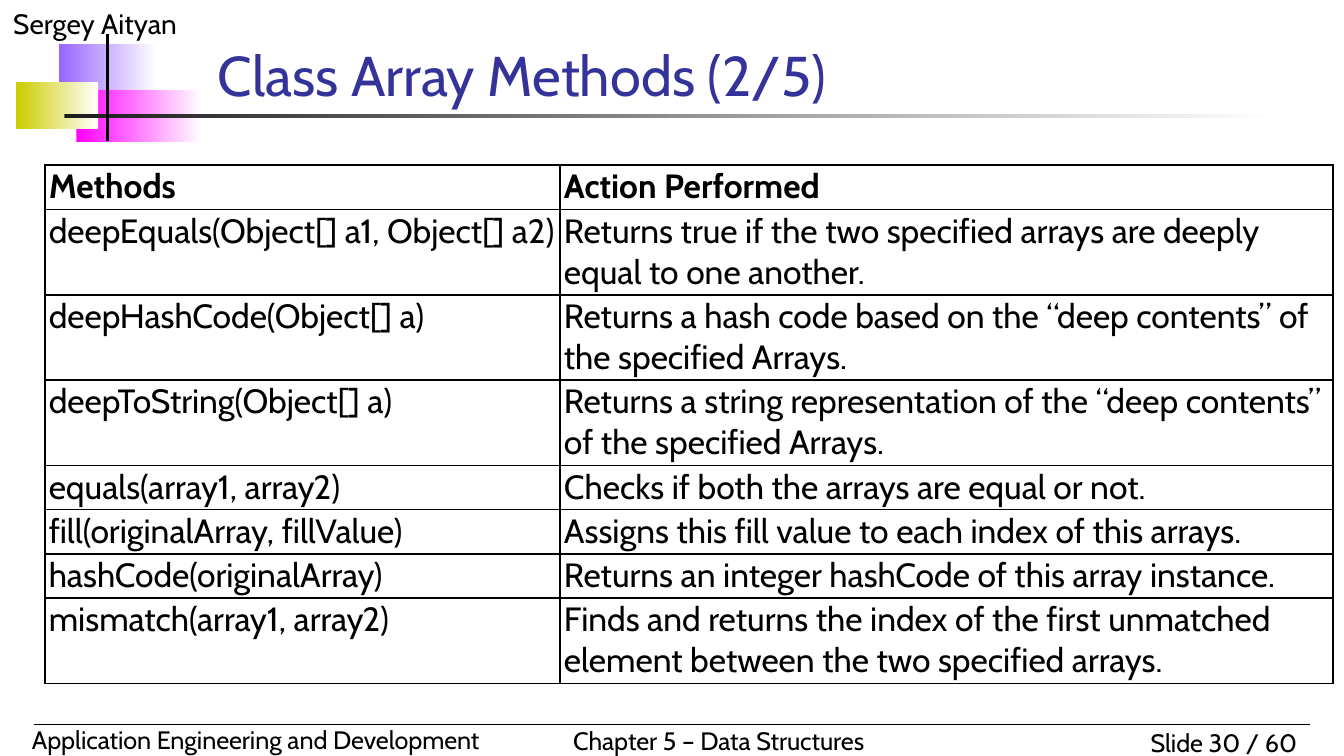
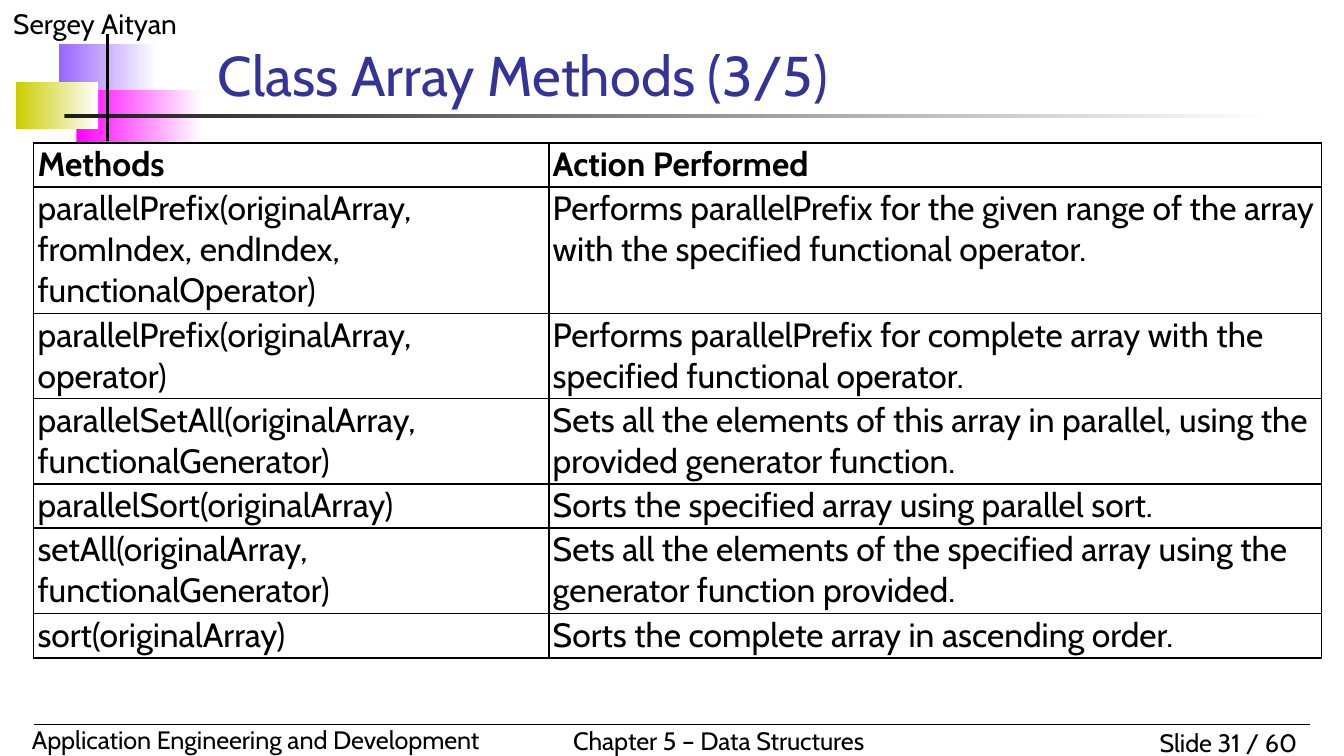
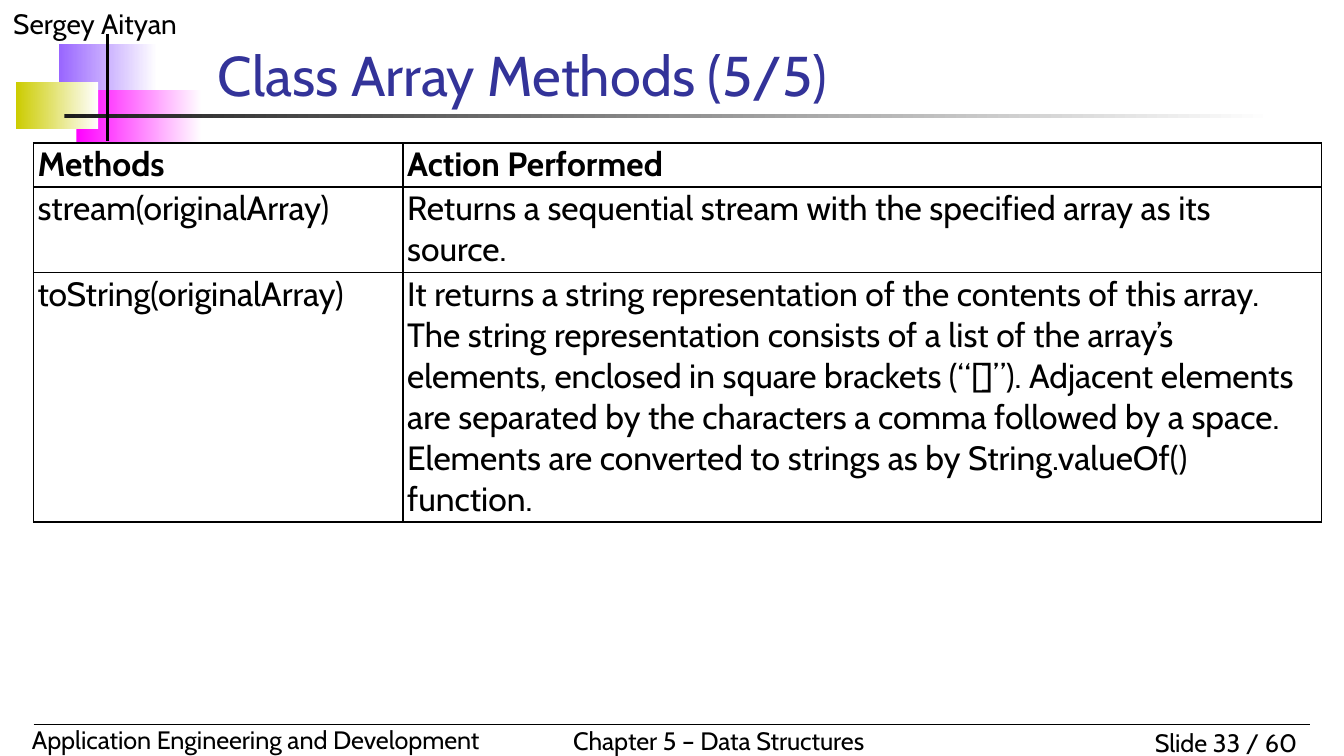
"""Build three slides on the methods of the Java Arrays class."""
from lxml import etree
from pptx import Presentation
from pptx.dml.color import RGBColor
from pptx.enum import shapes, text
from pptx.oxml.ns import qn
from pptx.util import Pt

FONT = "Cabin"
BLACK = RGBColor(0x00, 0x00, 0x00)
WHITE = RGBColor(0xFF, 0xFF, 0xFF)
INDIGO = RGBColor(0x33, 0x33, 0x99)
VIOLET = RGBColor(0x99, 0x66, 0xFF)
MAGENTA = RGBColor(0xFF, 0x00, 0xFF)
OLIVE = RGBColor(0xCC, 0xCC, 0x00)
CHARCOAL = RGBColor(0x1C, 0x1C, 0x1C)

LINE_HEIGHT, ROW_PADDING = 22, 1.7
SLIDE_COUNT = 60

FADES = [
    (VIOLET, 31.7, 23.75, 52.5, 28),
    (MAGENTA, 41, 48.25, 67, 28),
    (OLIVE, 8.65, 43.9, 44, 25.2),
    (CHARCOAL, 34.5, 61.2, 648, 2.15),
]
RULES = [(18, 388, 702, 388, 0.75), (57.6, 18, 57.6, 75.6, 2)]

TITLE = {"size": 30, "color": INDIGO}
AUTHOR = {"size": 15}
FOOTER = {"size": 13.5}
CELL = {"size": 18}

HEADER = (1, "Methods", "Action Performed")
SLIDES = [
    {"part": 2, "number": 30, "left": 24, "top": 88.5, "widths": (276, 414), "rows": [
        (2, "deepEquals(Object[] a1, Object[] a2)",
         "Returns true if the two specified arrays are deeply equal to one another."),
        (2, "deepHashCode(Object[] a)",
         "Returns a hash code based on the “deep contents” of the specified Arrays."),
        (2, "deepToString(Object[] a)",
         "Returns a string representation of the “deep contents” of the specified Arrays."),
        (1, "equals(array1, array2)", "Checks if both the arrays are equal or not."),
        (1, "fill(originalArray, fillValue)",
         "Assigns this fill value to each index of this arrays."),
        (1, "hashCode(originalArray)", "Returns an integer hashCode of this array instance."),
        (2, "mismatch(array1, array2)",
         "Finds and returns the index of the first unmatched element between the two "
         "specified arrays."),
    ]},
    {"part": 3, "number": 31, "left": 18, "top": 76.5, "widths": (276, 414), "rows": [
        (3, "parallelPrefix(originalArray, fromIndex, endIndex, functionalOperator)",
         "Performs parallelPrefix for the given range of the array with the specified "
         "functional operator."),
        (2, "parallelPrefix(originalArray, operator)",
         "Performs parallelPrefix for complete array with the specified functional operator."),
        (2, "parallelSetAll(originalArray, functionalGenerator)",
         "Sets all the elements of this array in parallel, using the provided generator "
         "function."),
        (1, "parallelSort(originalArray)", "Sorts the specified array using parallel sort."),
        (2, "setAll(originalArray, functionalGenerator)",
         "Sets all the elements of the specified array using the generator function provided."),
        (1, "sort(originalArray)", "Sorts the complete array in ascending order."),
    ]},
    {"part": 5, "number": 33, "left": 18, "top": 76.5, "widths": (198, 492), "rows": [
        (2, "stream(originalArray)",
         "Returns a sequential stream with the specified array as its source."),
        (6, "toString(originalArray)",
         "It returns a string representation of the contents of this array. The string "
         "representation consists of a list of the array’s elements, enclosed in square "
         "brackets (“[]”). Adjacent elements are separated by the characters a comma "
         "followed by a space. Elements are converted to strings as by String.valueOf() "
         "function."),
    ]},
]


def write(tf, words, size, color=BLACK, bold=False, align=text.PP_ALIGN.LEFT):
    """Write one formatted paragraph into a text frame."""
    p = tf.paragraphs[0]
    p.alignment = align
    r = p.add_run()
    r.text = words
    for name, value in {"name": FONT, "size": Pt(size), "bold": bold}.items():
        setattr(r.font, name, value)
    r.font.color.rgb = color


def add_text(s, words, box, style, anchor=text.MSO_ANCHOR.TOP):
    """Add a wrapping text box at left, top, width, height."""
    tf = s.shapes.add_textbox(*map(Pt, box)).text_frame
    for name, value in {"word_wrap": True, "vertical_anchor": anchor}.items():
        setattr(tf, name, value)
    write(tf, words, **style)


def add_fade(s, color, *box):
    """Add a rectangle that fades to white from left to right."""
    sp = s.shapes.add_shape(shapes.MSO_SHAPE.RECTANGLE, *map(Pt, box))
    sp.shadow.inherit = False
    sp.line.fill.background()
    sp.fill.gradient()
    sp.fill.gradient_angle = 0
    for stop, rgb in zip(sp.fill.gradient_stops, (color, WHITE)):
        stop.color.rgb = rgb


def add_rule(s, x1, y1, x2, y2, width):
    """Add a straight black line."""
    cxn = s.shapes.add_connector(shapes.MSO_CONNECTOR.STRAIGHT, *map(Pt, (x1, y1, x2, y2)))
    cxn.line.color.rgb = BLACK
    cxn.line.width = Pt(width)
    etree.SubElement(cxn._element.spPr, qn("a:effectLst"))


def add_borders(cell):
    """Draw a black border of one point round a cell."""
    tc_pr = cell._tc.get_or_add_tcPr()
    for side in ("a:lnL", "a:lnR", "a:lnT", "a:lnB"):
        ln = etree.SubElement(tc_pr, qn(side), w=str(Pt(1)))
        fill = etree.SubElement(ln, qn("a:solidFill"))
        etree.SubElement(fill, qn("a:srgbClr"), val=str(BLACK))


def add_methods_table(s, left, top, widths, rows):
    """Add a bordered table of methods, each row as tall as its lines of text."""
    rows = [HEADER] + rows
    heights = [lines * LINE_HEIGHT + ROW_PADDING for lines, *_ in rows]
    box = (left, top, sum(widths), sum(heights))
    table = s.shapes.add_table(len(rows), len(widths), *map(Pt, box)).table
    table.first_row = table.horz_banding = False
    for column, width in zip(table.columns, widths):
        column.width = Pt(width)
    margins = {"margin_left": 2.15, "margin_right": 2.15, "margin_top": 0.7, "margin_bottom": 0.7}
    for i, (_, *words) in enumerate(rows):
        table.rows[i].height = Pt(heights[i])
        for j, entry in enumerate(words):
            cell = table.cell(i, j)
            add_borders(cell)
            cell.fill.background()
            for name, value in margins.items():
                setattr(cell, name, Pt(value))
            write(cell.text_frame, entry, bold=i == 0, **CELL)


def add_frame(s, number):
    """Add the decoration, author and footer that every slide shares."""
    for fade in FADES:
        add_fade(s, *fade)
    add_text(s, "Sergey Aityan", (0, 0, 180, 25.2), AUTHOR)
    add_text(s, f"Slide {number} / {SLIDE_COUNT}", (594, 386, 108, 23.75),
             {**FOOTER, "align": text.PP_ALIGN.RIGHT})
    add_text(s, "Application Engineering and Development", (10, 384.5, 266.5, 23.75), FOOTER)
    add_text(s, "Chapter 5 – Data Structures", (300, 385.2, 183, 23.75), FOOTER)
    for rule in RULES:
        add_rule(s, *rule)


def main():
    """Build and save the presentation."""
    prs = Presentation()
    prs.slide_width, prs.slide_height = Pt(720), Pt(405)
    for page in SLIDES:
        s = prs.slides.add_slide(prs.slide_layouts[6])
        add_frame(s, page["number"])
        add_text(s, f"Class Array Methods ({page['part']}/5)", (109.5, 22.3, 529, 39),
                 TITLE, text.MSO_ANCHOR.BOTTOM)
        add_methods_table(s, page["left"], page["top"], page["widths"], page["rows"])
    prs.save("out.pptx")


if __name__ == "__main__":
    main()
